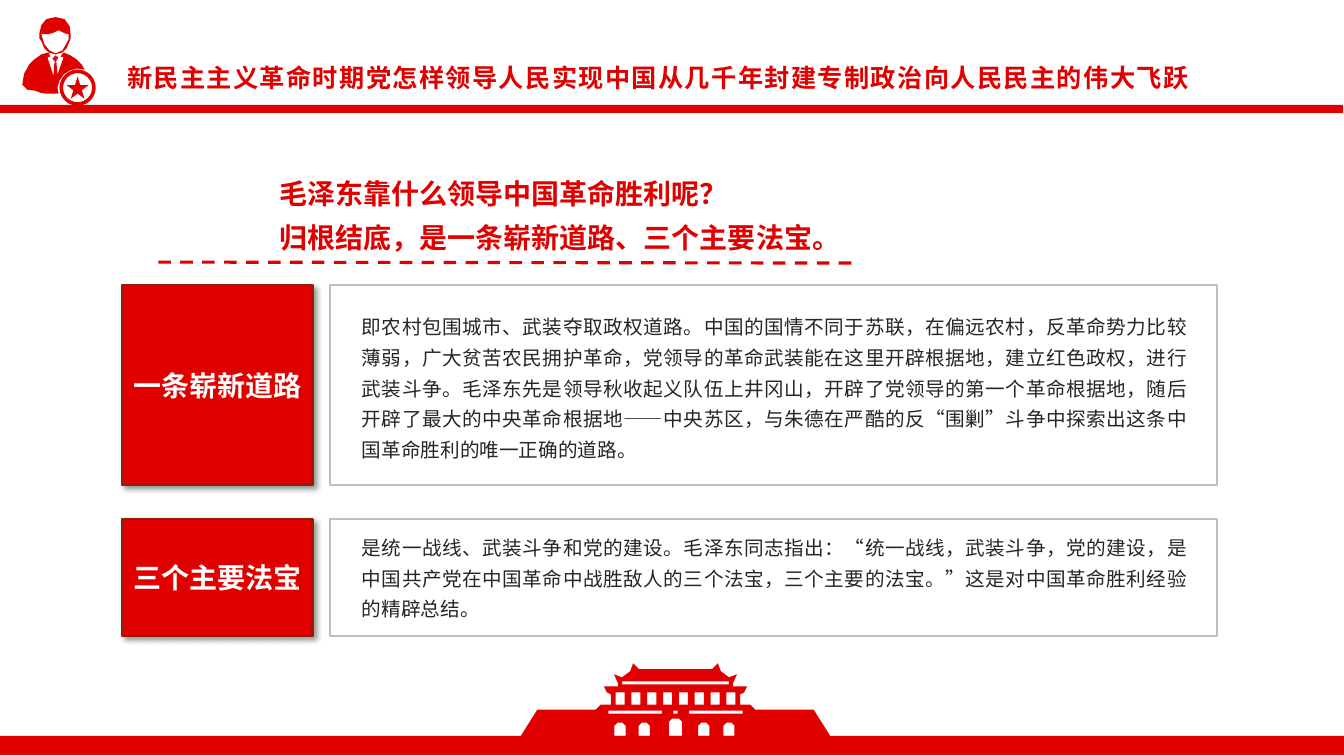
from lxml import etree
from pptx import Presentation
from pptx.dml.color import RGBColor
from pptx.enum.dml import MSO_LINE
from pptx.enum.shapes import MSO_CONNECTOR, MSO_SHAPE
from pptx.enum.text import MSO_ANCHOR, MSO_AUTO_SIZE, PP_ALIGN
from pptx.oxml.ns import qn
from pptx.util import Inches, Pt

RECTANGLE, DONUT, STAR = MSO_SHAPE.RECTANGLE, MSO_SHAPE.DONUT, MSO_SHAPE.STAR_5_POINT
STRAIGHT, DASH = MSO_CONNECTOR.STRAIGHT, MSO_LINE.DASH
TOP, MIDDLE, NO_FIT = MSO_ANCHOR.TOP, MSO_ANCHOR.MIDDLE, MSO_AUTO_SIZE.NONE
LEFT, CENTER, JUSTIFY = PP_ALIGN.LEFT, PP_ALIGN.CENTER, PP_ALIGN.JUSTIFY

FONT = "Noto Sans CJK SC"
RED, DARK_RED, TIE_RED = "E00000", "8D200A", "C61821"
WHITE, GRAY, INK = "FFFFFF", "BFBFBF", "262626"

TITLE = "新民主主义革命时期党怎样领导人民实现中国从几千年封建专制政治向人民民主的伟大飞跃"
QUESTION = ["毛泽东靠什么领导中国革命胜利呢？", "归根结底，是一条崭新道路、三个主要法宝。"]
CARDS = [
    (2.83, 1.98, 0.18, "一条崭新道路",
     "即农村包围城市、武装夺取政权道路。中国的国情不同于苏联，在偏远农村，反革命势力比较"
     "薄弱，广大贫苦农民拥护革命，党领导的革命武装能在这里开辟根据地，建立红色政权，进行"
     "武装斗争。毛泽东先是领导秋收起义队伍上井冈山，开辟了党领导的第一个革命根据地，随后"
     "开辟了最大的中央革命根据地——中央苏区，与朱德在严酷的反“围剿”斗争中探索出这条中"
     "国革命胜利的唯一正确的道路。"),
    (5.15, 1.16, 0.05, "三个主要法宝",
     "是统一战线、武装斗争和党的建设。毛泽东同志指出：“统一战线，武装斗争，党的建设，是"
     "中国共产党在中国革命中战胜敌人的三个法宝，三个主要的法宝。”这是对中国革命胜利经验"
     "的精辟总结。"),
]

HEAD = [(0.39, 0.33), (0.41, 0.25), (0.46, 0.19), (0.55, 0.17), (0.64, 0.19), (0.69, 0.26),
        (0.7, 0.34), (0.7, 0.38), (0.69, 0.41), (0.66, 0.48), (0.62, 0.52), (0.55, 0.54),
        (0.48, 0.52), (0.44, 0.48), (0.41, 0.41), (0.39, 0.38)]
FACE = [(0.41, 0.34), (0.47, 0.34), (0.52, 0.33), (0.58, 0.3), (0.64, 0.33), (0.68, 0.34),
        (0.68, 0.39), (0.66, 0.43), (0.62, 0.5), (0.55, 0.53), (0.49, 0.5), (0.44, 0.44)]
SUIT = [(0.63, 0.74), (0.69, 0.7), (0.76, 0.68), (0.84, 0.69), (0.81, 0.64), (0.76, 0.59),
        (0.7, 0.55), (0.63, 0.52), (0.6, 0.56), (0.63, 0.57), (0.57, 0.74), (0.56, 0.62),
        (0.54, 0.62), (0.53, 0.75), (0.47, 0.57), (0.5, 0.56), (0.48, 0.52), (0.41, 0.54),
        (0.34, 0.59), (0.29, 0.64), (0.24, 0.73), (0.22, 0.84), (0.27, 0.89), (0.35, 0.9),
        (0.4, 0.92), (0.46, 0.93), (0.58, 0.93), (0.57, 0.87), (0.59, 0.8)]
TIE = [(0.52, 0.58), (0.55, 0.62), (0.58, 0.57), (0.55, 0.55)]
GATE_HALF = [(0.36, 0.06), (0.42, 0), (0.45, 0.08), (0.53, 0.14), (0.61, 0.11), (0.57, 0.2),
             (0.57, 0.23), (0.71, 0.23), (0.68, 0.29), (0.64, 0.31), (0.64, 0.41), (0.74, 0.41),
             (0.79, 0.46), (1.37, 0.46), (1.54, 0.73)]
GATE_BANDS = [(0, 0.18, 1.06), (-0.4, 0.47, 0.53), (0, 0.47, 0.04), (0.4, 0.47, 0.53)]
GATE_DOORS = [(-0.55, 0.11, 0.13), (-0.31, 0.11, 0.13), (0, 0.13, 0.17),
              (0.28, 0.11, 0.13), (0.53, 0.11, 0.13)]


def color(value):
    """Return the colour for a hex string."""
    return RGBColor.from_string(value)


def paint(shape, fill, line=None):
    """Give a shape a flat fill, an optional outline and no shadow."""
    shape.shadow.inherit = False
    shape.fill.solid()
    shape.fill.fore_color.rgb = color(fill)
    if line:
        shape.line.color.rgb = color(line)
        shape.line.width = Pt(1.5)
    else:
        shape.line.fill.background()
    return shape


def add_block(slide, kind, box, fill, line=None):
    """Add a preset shape in a box given in inches."""
    return paint(slide.shapes.add_shape(kind, *map(Inches, box)), fill, line)


def add_outline(slide, left, top, contours, fill):
    """Add one shape from closed contours; inner contours become holes."""
    placed = [[(Inches(left + x), Inches(top + y)) for x, y in contour] for contour in contours]
    builder = slide.shapes.build_freeform(*placed[0][0])
    for index, corners in enumerate(placed):
        if index:
            builder.move_to(*corners[0])
        builder.add_line_segments(corners[1:], close=True)
    return paint(builder.convert_to_shape(), fill)


def write(shape, lines, size, ink, bold=False, align=LEFT, anchor=TOP, spacing=1.0,
          inset=0.05, tracking=None):
    """Fill a shape with uniformly formatted paragraphs."""
    frame = shape.text_frame
    frame.word_wrap, frame.auto_size, frame.vertical_anchor = True, NO_FIT, anchor
    frame.margin_left = frame.margin_right = Inches(0.1)
    frame.margin_top = frame.margin_bottom = Inches(inset)
    for index, line in enumerate(lines):
        paragraph = frame.add_paragraph() if index else frame.paragraphs[0]
        paragraph.alignment, paragraph.line_spacing = align, spacing
        run = paragraph.add_run()
        run.text = line
        font = run.font
        font.name, font.size, font.bold = FONT, Pt(size), bold
        font.color.rgb = color(ink)
        properties = run._r.get_or_add_rPr()
        etree.SubElement(properties, qn("a:ea")).set("typeface", FONT)
        if tracking:
            properties.set("spc", str(tracking))


def add_text(slide, box, lines, size, ink, **options):
    """Add a text box in a box given in inches."""
    write(slide.shapes.add_textbox(*map(Inches, box)), lines, size, ink, **options)


def cast_shadow(shape):
    """Give a shape a soft shadow to the lower right."""
    effects = shape._element.spPr.find(qn("a:effectLst"))
    shadow = etree.SubElement(effects, qn("a:outerShdw"), blurRad=str(Pt(4)), dist=str(Pt(3)),
                              dir="2700000", algn="tl", rotWithShape="0")
    tone = etree.SubElement(shadow, qn("a:srgbClr"), val="000000")
    etree.SubElement(tone, qn("a:alpha"), val="40000")


def add_person(slide, left, top):
    """Draw the person with a star badge."""
    for contours, fill in (([SUIT], RED), ([TIE], TIE_RED), ([HEAD, FACE], RED)):
        add_outline(slide, left - 0.22, top - 0.17, contours, fill)
    ring = add_block(slide, DONUT, (left + 0.37, top + 0.52, 0.36, 0.36), RED)
    ring.adjustments[0] = 0.1
    add_block(slide, STAR, (left + 0.44, top + 0.59, 0.22, 0.22), RED)


def add_header(slide, width):
    """Place the person, the title and the rule below them."""
    add_person(slide, 0.22, 0.17)
    add_block(slide, RECTANGLE, (-0.01, 1.04, width, 0.08), RED)
    title = slide.shapes.title
    title.left, title.top, title.width, title.height = map(Inches, (1.16, 0.57, 11.7, 0.4))
    write(title, [TITLE], 18, RED, bold=True, tracking=100)


def add_question(slide, left, top):
    """Place the question with its dashed underline."""
    add_text(slide, (left, top, 9.42, 0.81), QUESTION, 20, RED, bold=True, anchor=MIDDLE,
             spacing=1.3, inset=0)
    ends = (left - 1.1, top + 0.92, left + 5.81, top + 0.93)
    underline = slide.shapes.add_connector(STRAIGHT, *map(Inches, ends))
    underline.line.color.rgb = color(RED)
    underline.line.width = Pt(2.25)
    underline.line.dash_style = DASH
    etree.SubElement(underline._element.spPr, qn("a:effectLst"))


def add_card(slide, left, top, height, text_offset, label, body):
    """Place a red label and its framed explanation."""
    tag = add_block(slide, RECTANGLE, (left, top, 1.89, height), RED, DARK_RED)
    cast_shadow(tag)
    write(tag, [label], 20, WHITE, bold=True, align=CENTER, anchor=MIDDLE)
    add_block(slide, RECTANGLE, (left + 2.06, top, 8.8, height), WHITE, GRAY)
    add_text(slide, (left + 2.28, top + text_offset, 8.38, height - 2 * text_offset), [body],
             14, INK, align=JUSTIFY, spacing=1.3)


def opening(x, y, width, height, arch=0):
    """Return the contour of an opening centred on x, with cut top corners."""
    start, end, bottom = x - width / 2, x + width / 2, y + height
    crown = [(start, y + arch), (start + arch, y), (end - arch, y), (end, y + arch)]
    return [(start, bottom), *(crown if arch else [(start, y), (end, y)]), (end, bottom)]


def add_gate(slide, center, top):
    """Draw the gate tower as one outline with its openings cut out."""
    silhouette = GATE_HALF + [(-x, y) for x, y in reversed(GATE_HALF)]
    bands = [opening(x, y, width, 0.03) for x, y, width in GATE_BANDS]
    windows = [opening((index - 3.5) * 0.157, 0.29, 0.09, 0.12) for index in range(8)]
    doors = [opening(x, 0.72 - height, width, height, 0.03) for x, width, height in GATE_DOORS]
    add_outline(slide, center, top, [silhouette, *bands, *windows, *doors], RED)


def add_footer(slide, width):
    """Place the bottom band with the gate tower on it."""
    add_block(slide, RECTANGLE, (0, 7.3, width, 0.19), RED)
    add_gate(slide, 6.7, 6.58)


def main():
    """Build and save the presentation."""
    presentation = Presentation()
    presentation.slide_width, presentation.slide_height = Inches(13.33), Inches(7.5)
    slide = presentation.slides.add_slide(presentation.slide_layouts[5])
    add_header(slide, 13.33)
    add_question(slide, 2.67, 1.68)
    for card in CARDS:
        add_card(slide, 1.21, *card)
    add_footer(slide, 13.33)
    presentation.save("out.pptx")


if __name__ == "__main__":
    main()
